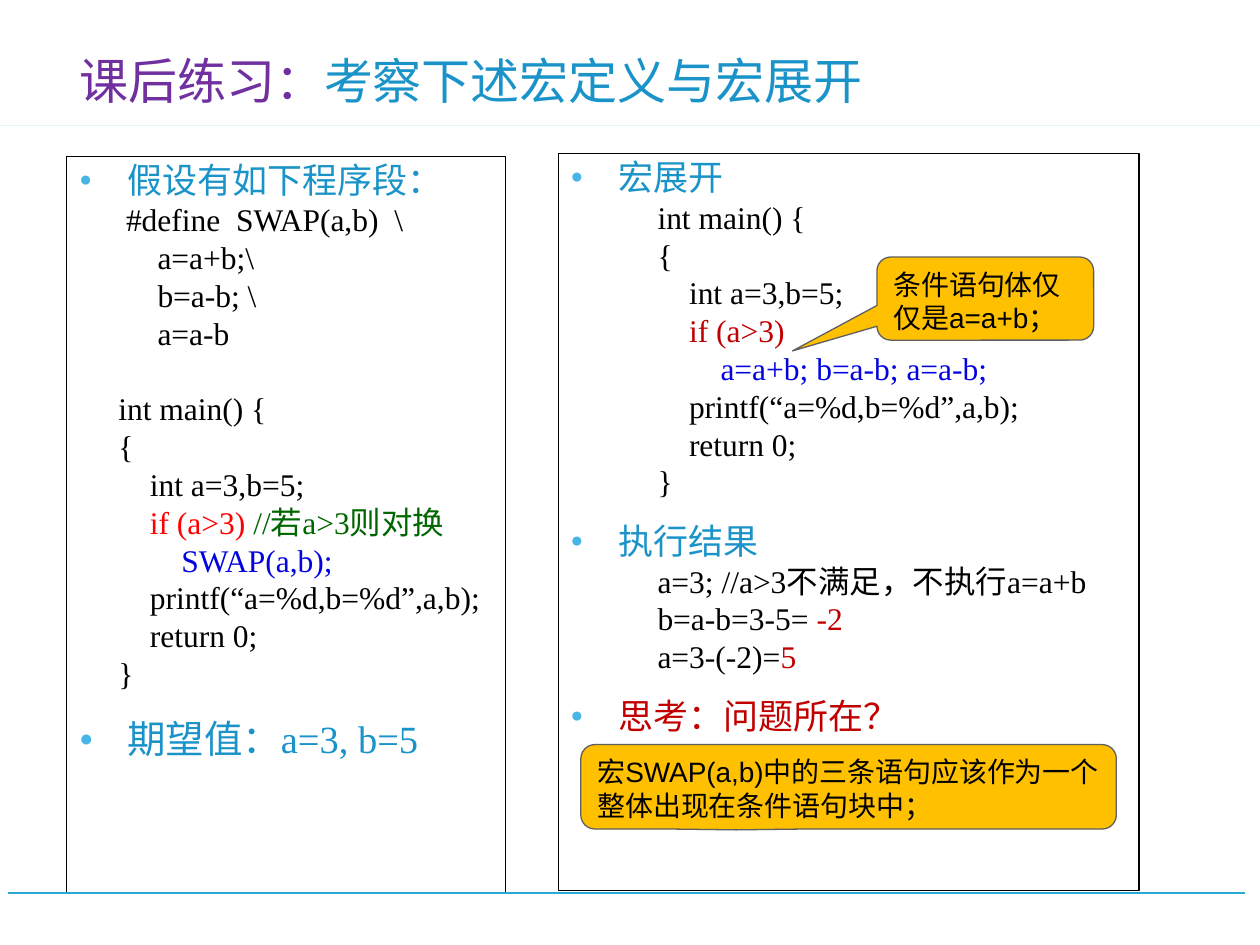
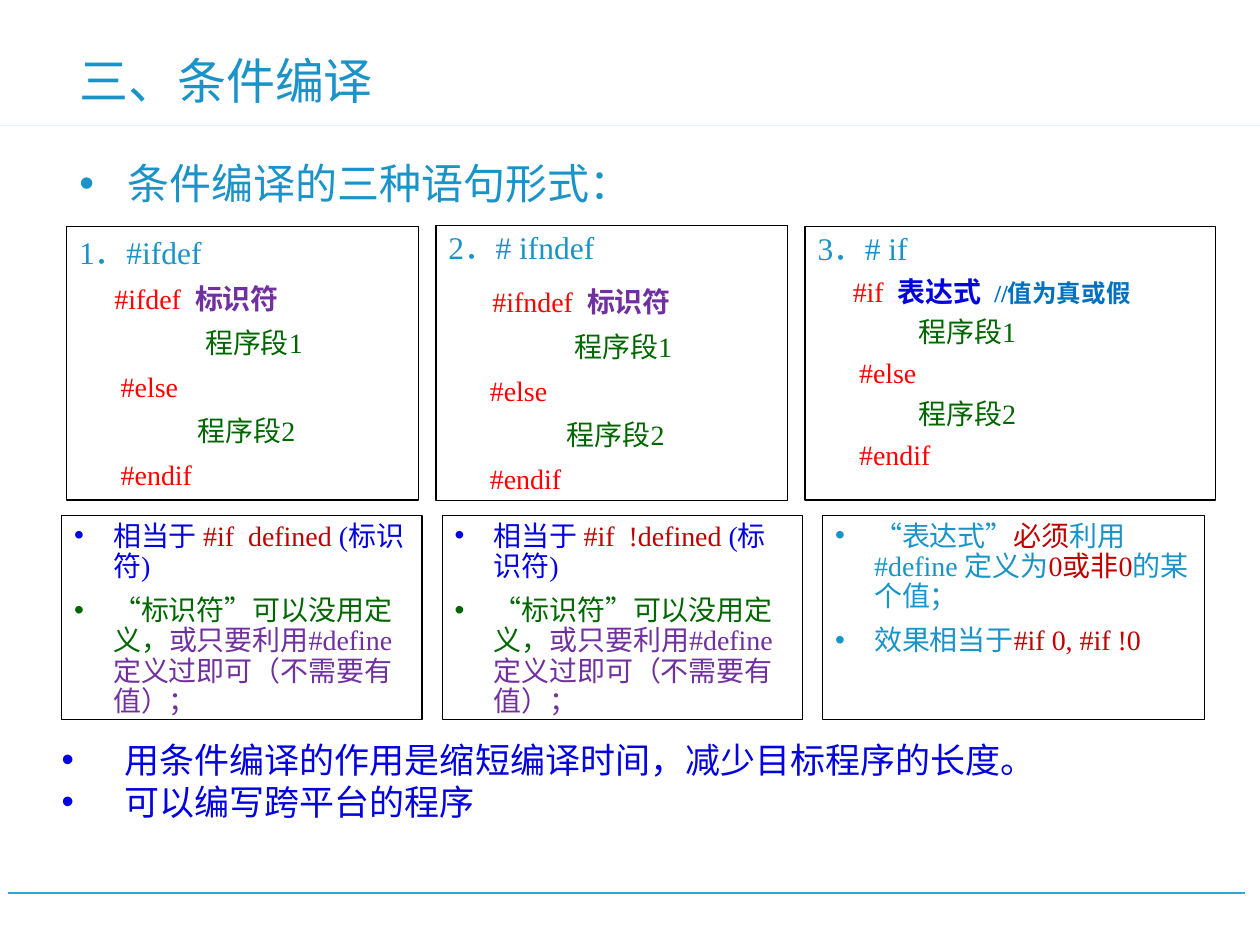
from lxml import etree
from pptx import Presentation
from pptx.dml.color import RGBColor
from pptx.enum import shapes, text
from pptx.oxml import ns
from pptx.util import Inches, Pt

# Shared colours and fonts
CYAN = RGBColor(0x28, 0xA9, 0xD6)
SKY = RGBColor(0x1A, 0x93, 0xC8)
DOT = RGBColor(0x47, 0xB6, 0xE7)
BLUE = RGBColor(0x03, 0x03, 0xDF)
NOTE = RGBColor(0x00, 0x70, 0xC0)
PURPLE = RGBColor(0x70, 0x30, 0xA0)
GREEN = RGBColor(0x00, 0x66, 0x00)
RED = RGBColor(0xFF, 0x00, 0x00)
DARK = RGBColor(0xC0, 0x00, 0x00)
BLACK = RGBColor(0x00, 0x00, 0x00)
GREY = RGBColor(0x5F, 0x5F, 0x5F)
GOLD = RGBColor(0xFF, 0xC0, 0x00)
SERIF, SANS, HAN = "Times New Roman", "Arial", "Noto Sans CJK SC"
LINE = 1.2   # line height as a share of the text size
STEP = 0.25  # one level of code indent


# Text
def sub(node, tag, **attrs):
    return etree.SubElement(node, ns.qn(tag), attrs)


def bullet(pr, char, color, share):
    if not char:
        sub(pr, "a:buNone")
        return
    if color is not None:
        sub(sub(pr, "a:buClr"), "a:srgbClr", val=str(color))
    if share:
        sub(pr, "a:buSzPct", val=str(share * 1000))
    sub(pr, "a:buFont", typeface=SANS)
    sub(pr, "a:buChar", char=char)


def para(frame, runs, size, left=0, hang=0, tight=1, gap=0,
         char=None, color=None, share=None, font=SERIF):
    """Add a paragraph; each run is (words, colour[, bold[, size]])."""
    first = frame.paragraphs[0]
    p = frame.add_paragraph() if first.runs else first
    p.alignment = text.PP_ALIGN.LEFT
    p.line_spacing = Pt(round(size * LINE * tight, 1))
    p.space_before = Pt(gap)
    p.space_after = Pt(0)
    pr = p._p.get_or_add_pPr()
    pr.set("marL", str(Inches(left)))
    pr.set("indent", str(Inches(-hang)))
    bullet(pr, char, color, share)
    for words, ink, *more in runs:
        bold, pts = (*more, False, size)[:2] if len(more) != 1 else (more[0], size)
        r = p.add_run()
        r.text = words
        r.font.name = font
        r.font.size = Pt(pts)
        r.font.bold = bold
        r.font.color.rgb = ink


def head(frame, words, ink=SKY, size=20, tight=0.9):
    para(frame, [(words, ink)], size, 0.38, 0.38, tight, 13.5, "●", DOT, 60)


def code(frame, base, rows):
    """Each row is (indent level, runs[, gap before])."""
    for level, runs, *gap in rows:
        para(frame, runs, 18, base + level * STEP, gap=gap[0] if gap else 0)


def point(frame, runs, color):
    para(frame, runs, 16, 0.31, 0.31, 0.9, 8, "•", color)


# Shapes
def place(shape, at):
    shape.left, shape.top, shape.width, shape.height = map(Inches, at)


def setup(frame, anchor=text.MSO_ANCHOR.TOP):
    frame.word_wrap = True
    frame.auto_size = text.MSO_AUTO_SIZE.NONE
    frame.vertical_anchor = anchor
    return frame


def edge(shape, ink=BLACK):
    shape.line.color.rgb = ink
    shape.line.width = Pt(0.75)


def box(slide, at):
    shape = slide.shapes.add_shape(shapes.MSO_SHAPE.RECTANGLE, *map(Inches, at))
    shape.shadow.inherit = False
    shape.fill.background()
    edge(shape)
    return setup(shape.text_frame)


def body(slide, at):
    shape = slide.placeholders[1]
    place(shape, at)
    return shape, setup(shape.text_frame)


def callout(slide, at, tip, words):
    kind = shapes.MSO_SHAPE.ROUNDED_RECTANGULAR_CALLOUT
    shape = slide.shapes.add_shape(kind, *map(Inches, at))
    shape.shadow.inherit = False
    shape.adjustments[0], shape.adjustments[1] = tip
    shape.fill.solid()
    shape.fill.fore_color.rgb = GOLD
    edge(shape, GREY)
    para(setup(shape.text_frame), [(words, BLACK)], 16, font=SANS)


def band(slide):
    # Footer rule
    rule = slide.shapes.add_connector(
        shapes.MSO_CONNECTOR.STRAIGHT,
        Inches(9.88), Inches(7.09), Inches(0.06), Inches(7.09))
    rule.line.color.rgb = CYAN
    rule.line.width = Pt(1.25)
    sub(rule._element.spPr, "a:effectLst")
    # Title mark with its tapering rule
    dots = [(0.41, 0.92), (1.4, 0.92), (10.09, 0.94), (0.39, 0.94),
            (0.39, 0.48), (0.36, 0.48), (0.36, 0.94), (0.27, 0.94),
            (0.27, 0.46), (0.3, 0.46), (0.3, 0.91), (0.33, 0.91), (0.33, 0.46)]
    pen = slide.shapes.build_freeform(0.41, 0.46, Inches(1))
    pen.add_line_segments(dots, close=True)
    mark = pen.convert_to_shape()
    mark.shadow.inherit = False
    mark.fill.solid()
    mark.fill.fore_color.rgb = CYAN
    mark.line.fill.background()


def start(deck, runs):
    slide = deck.slides.add_slide(deck.slide_layouts[1])
    band(slide)
    title = slide.shapes.title
    place(title, (0.53, 0.28, 8.85, 0.64))
    para(setup(title.text_frame, text.MSO_ANCHOR.BOTTOM), runs, 28, tight=0.9)
    return slide


# Slide 1: macro exercise
def macro(deck):
    slide = start(deck, [("课后练习：", PURPLE), ("考察下述宏定义与宏展开", SKY)])

    shape, left = body(slide, (0.53, 1.24, 3.48, 5.85))
    edge(shape)
    tail = [(1, [("printf(“a=%d,b=%d”,a,b);", BLACK)]),
            (1, [("return 0;", BLACK)]),
            (0, [("}", BLACK)])]
    main_top = [(0, [("{", BLACK)]), (1, [("int a=3,b=5;", BLACK)])]
    head(left, "假设有如下程序段：")
    code(left, 0.37, [(0, [("#define  SWAP(a,b)  \\", BLACK)])]
         + [(1, [(row, BLACK)]) for row in ("a=a+b;\\", "b=a-b; \\", "a=a-b")])
    code(left, 0.31, [
        (0, [("int main() {", BLACK)], 18 * LINE),
        *main_top,
        (1, [("if (a>3) ", RED), ("//若a>3则对换", GREEN)]),
        (2, [("SWAP(a,b);", BLUE)]),
        *tail])
    head(left, "期望值：a=3, b=5", size=22, tight=1)

    right = box(slide, (4.43, 1.22, 4.61, 5.85))
    head(right, "宏展开")
    code(right, 0.69, [
        (0, [("int main() {", BLACK)]),
        *main_top,
        (1, [("if (a>3)", DARK)]),
        (2, [("a=a+b; b=a-b; a=a-b;", BLUE)]),
        *tail])
    head(right, "执行结果")
    code(right, 0.69, [
        (0, [("a=3; //a>3不满足，不执行a=a+b", BLACK)]),
        (0, [("b=a-b=3-5= ", BLACK), ("-2", DARK)]),
        (0, [("a=3-(-2)=", BLACK), ("5", DARK)])])
    head(right, "思考：问题所在？", DARK)

    callout(slide, (4.61, 5.91, 4.25, 0.67), (-0.21, 0.51),
            "宏SWAP(a,b)中的三条语句应该作为一个整体出现在条件语句块中；")
    callout(slide, (6.96, 2.04, 1.72, 0.66), (-0.89, 0.63),
            "条件语句体仅仅是a=a+b；")


# Slide 2: conditional compilation
def form(slide, at, name, test, lefts, tights, gap=6):
    """One statement form: heading, test line, then the two branches."""
    frame = box(slide, at)
    test_in, one_in, two_in = lefts
    para(frame, [(name, SKY)], 18, tight=tights[0])
    rows = [(test, test_in, gap),
            ([("程序段1", GREEN)], one_in, 6),
            ([("#else", RED)], 0.33, 6),
            ([("程序段2", GREEN)], two_in, 6),
            ([("#endif", RED)], 0.33, 6)]
    for runs, left, space in rows:
        para(frame, runs, 16, left, tight=tights[1], gap=space)


def defined(slide, at, test):
    frame = box(slide, at)
    point(frame, [("相当于 ", BLUE), (test, DARK), ("(标识符)", BLUE)], BLUE)
    point(frame, [("“标识符”可以没用定义，", GREEN),
                  ("或只要利用#define定义过即可（不需要有值）；", PURPLE)], GREEN)


def compiling(deck):
    slide = start(deck, [("三、条件编译", SKY)])
    _, lead = body(slide, (0.53, 1.24, 4.62, 0.61))
    para(lead, [("条件编译的三种语句形式：", SKY)], 24, 0.38, 0.38, 0.9, 0, "•", SKY)

    # Statement forms
    ident = ("标识符", PURPLE, True)
    form(slide, (0.53, 1.8, 2.79, 2.17), "1．#ifdef",
         [("#ifdef  ", RED), ident], (0.28, 1, 0.94), (1, 1))
    form(slide, (3.46, 1.79, 2.79, 2.18), "2．# ifndef",
         [("#ifndef  ", RED), ident], (0.35, 1, 0.94), (0.9, 1), 11)
    form(slide, (6.39, 1.8, 3.26, 2.17), "3．# if",
         [("#if  ", RED), ("表达式  ", BLUE, True), ("//值为真或假", NOTE, True, 14)],
         (0.28, 0.8, 0.8), (0.9, 0.9))

    # Meaning of each form
    defined(slide, (0.49, 4.09, 2.86, 1.62), "#if  defined ")
    defined(slide, (3.51, 4.09, 2.86, 1.62), "#if  !defined ")
    value = box(slide, (6.53, 4.09, 3.03, 1.62))
    point(value, [("“表达式”", SKY), ("必须", DARK), ("利用#define 定义为", SKY),
                  ("0或非0", DARK), ("的某个值；", SKY)], SKY)
    point(value, [("效果相当于", SKY), ("#if 0, #if !0", DARK)], SKY)

    # Closing remarks
    area = slide.shapes.add_textbox(*map(Inches, (0.39, 5.81, 9.26, 0.77)))
    frame = setup(area.text_frame)
    for words in ("用条件编译的作用是缩短编译时间，减少目标程序的长度。",
                  "可以编写跨平台的程序"):
        para(frame, [(words, BLUE)], 20, 0.5, 0.5, char="•", color=BLUE, font=HAN)


def main():
    deck = Presentation()
    deck.slide_width, deck.slide_height = Inches(10), Inches(7.5)
    macro(deck)
    compiling(deck)
    deck.save("out.pptx")


if __name__ == "__main__":
    main()
